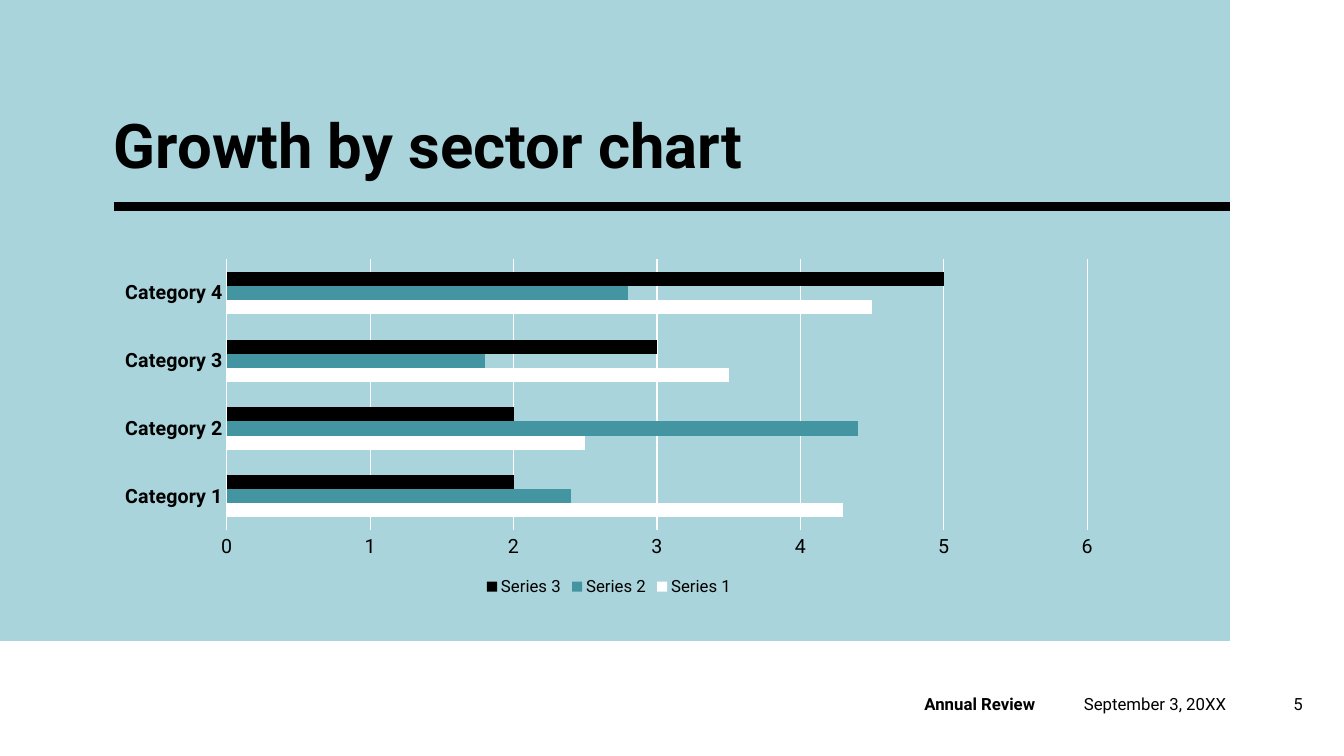
from pptx import Presentation
from pptx.chart.data import CategoryChartData
from pptx.dml.color import RGBColor
from pptx.enum.chart import XL_CHART_TYPE as ChartType, XL_LEGEND_POSITION as LegendPosition
from pptx.enum.chart import XL_TICK_MARK as TickMark
from pptx.enum.shapes import MSO_CONNECTOR as Connector, MSO_SHAPE as Shape
from pptx.enum.text import MSO_ANCHOR as Anchor, PP_ALIGN as Align
from pptx.oxml.ns import qn
from pptx.util import Inches, Pt

BLACK = RGBColor(0x00, 0x00, 0x00)
WHITE = RGBColor(0xFF, 0xFF, 0xFF)
TEAL = RGBColor(0x44, 0x95, 0xA2)
PALE_BLUE = RGBColor(0xA9, 0xD4, 0xDB)
FONT = "Roboto"

TITLE = "Growth by sector chart"
CATEGORIES = ["Category 1", "Category 2", "Category 3", "Category 4"]
SERIES = [
    ("Series 1", (4.3, 2.5, 3.5, 4.5), WHITE),
    ("Series 2", (2.4, 4.4, 1.8, 2.8), TEAL),
    ("Series 3", (2, 2, 3, 5), BLACK),
]
# text, left, width, side inset, bold, alignment
FOOTER = [
    ("Annual Review", 9.07, 1.6, 0.1, True, Align.LEFT),
    ("September 3, 20XX", 10.75, 1.67, 0, False, Align.LEFT),
    ("5", 12.57, 0.45, 0.1, False, Align.RIGHT),
]

WIDTH, HEIGHT = 13.33, 7.5
PANEL_RIGHT, PANEL_BOTTOM = 12.2, 6.36
MARGIN = 1.13
RULE_TOP = 2.05
FOOTER_TOP, FOOTER_HEIGHT = 6.88, 0.2


def style_font(font, size, bold=False):
    font.name, font.size, font.bold = FONT, Pt(size), bold
    font.color.rgb = BLACK


def add_text(page, text, area, size, bold, anchor, align=Align.LEFT, inset=0):
    box = page.shapes.add_textbox(*map(Inches, area))
    frame = box.text_frame
    frame.word_wrap = True
    frame.vertical_anchor = anchor
    frame.margin_left = frame.margin_right = Inches(inset)
    frame.margin_top = frame.margin_bottom = 0
    para = frame.paragraphs[0]
    para.alignment = align
    span = para.add_run()
    span.text = text
    style_font(span.font, size, bold)
    return para


def add_background(page):
    panel = page.shapes.add_shape(
        Shape.RECTANGLE, 0, 0, Inches(PANEL_RIGHT), Inches(PANEL_BOTTOM))
    panel.shadow.inherit = False
    panel.fill.solid()
    panel.fill.fore_color.rgb = PALE_BLUE
    panel.line.fill.background()
    rule = page.shapes.add_connector(
        Connector.STRAIGHT, *map(Inches, (MARGIN, RULE_TOP, PANEL_RIGHT, RULE_TOP)))
    rule.line.color.rgb = BLACK
    rule.line.width = Pt(6)
    properties = rule.element.spPr
    properties.append(properties.makeelement(qn("a:effectLst"), {}))


def add_growth_chart(page):
    data = CategoryChartData()
    data.categories = CATEGORIES
    for name, values, _ in SERIES:
        data.add_series(name, values)
    chart = page.shapes.add_chart(
        ChartType.BAR_CLUSTERED, *map(Inches, (1.04, 2.5, 10, 3.46)), data).chart
    style_font(chart.font, 10)
    chart.has_title = False

    plot = chart.plots[0]
    plot.gap_width = 182
    plot.vary_by_categories = False
    for series, (_, _, color) in zip(plot.series, SERIES):
        series.format.fill.solid()
        series.format.fill.fore_color.rgb = color

    for axis, bold in ((chart.category_axis, True), (chart.value_axis, False)):
        axis.major_tick_mark = axis.minor_tick_mark = TickMark.NONE
        style_font(axis.tick_labels.font, 14, bold)
    chart.value_axis.format.line.fill.background()
    chart.value_axis.has_major_gridlines = True
    for line in (chart.category_axis.format.line,
                 chart.value_axis.major_gridlines.format.line):
        line.color.rgb = WHITE
        line.width = Pt(0.75)

    chart.has_legend = True
    chart.legend.position = LegendPosition.BOTTOM
    chart.legend.include_in_layout = False
    style_font(chart.legend.font, 12)


def main():
    deck = Presentation()
    deck.slide_width, deck.slide_height = Inches(WIDTH), Inches(HEIGHT)
    page = deck.slides.add_slide(deck.slide_layouts[6])
    add_background(page)
    title = add_text(page, TITLE, (MARGIN, 1.09, 8.54, 0.71), 44, True, Anchor.BOTTOM)
    title.line_spacing = 0.9
    add_growth_chart(page)
    for text, left, width, inset, bold, align in FOOTER:
        add_text(page, text, (left, FOOTER_TOP, width, FOOTER_HEIGHT),
                 12, bold, Anchor.MIDDLE, align, inset)
    deck.save("out.pptx")


if __name__ == "__main__":
    main()
